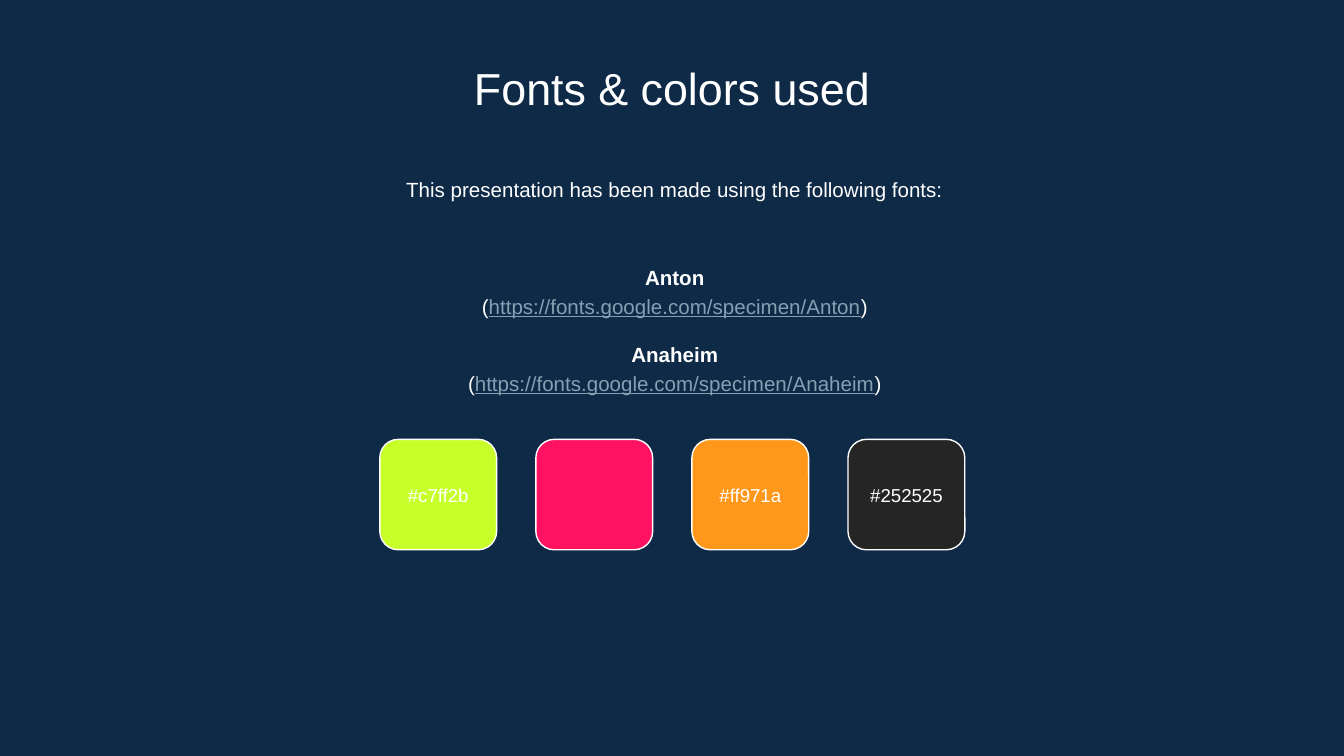
from pptx import Presentation
from pptx.dml.color import RGBColor as RGB
from pptx.enum.shapes import MSO_SHAPE as Shape
from pptx.enum.text import MSO_ANCHOR as Anchor, MSO_AUTO_SIZE as Fit, PP_ALIGN as Align
from pptx.util import Pt

NAVY = RGB(0x0E, 0x2A, 0x47)
WHITE = RGB(0xFF, 0xFF, 0xFF)
STEEL = RGB(0x86, 0x9F, 0xB2)
LIME = RGB(0xC7, 0xFF, 0x2B)
PINK = RGB(0xFF, 0x12, 0x61)
AMBER = RGB(0xFF, 0x97, 0x1A)
COAL = RGB(0x25, 0x25, 0x25)


def frame(shape, anchor, wrap=True):
    body = shape.text_frame
    body.word_wrap = wrap
    body.auto_size = Fit.NONE
    body.vertical_anchor = anchor
    body.margin_left = body.margin_right = Pt(7.2)
    body.margin_top = body.margin_bottom = Pt(7.2)
    return body


def style(para, size, space=1.0):
    para.alignment = Align.CENTER
    para.line_spacing = space
    for run in para.runs:
        run.font.name = "Arial"
        run.font.size = Pt(size)
        run.font.color.rgb = WHITE


deck = Presentation()
deck.slide_width, deck.slide_height = Pt(720), Pt(405)
slide = deck.slides.add_slide(deck.slide_layouts[5])
slide.background.fill.solid()
slide.background.fill.fore_color.rgb = NAVY

title = slide.shapes.title
title.left, title.top, title.width, title.height = Pt(82.5), Pt(25.2), Pt(555), Pt(38)
body = frame(title, Anchor.TOP)
body.text = "Fonts & colors used"
style(body.paragraphs[0], 24)

intro = slide.shapes.add_textbox(Pt(84), Pt(85.7), Pt(555), Pt(34.6))
body = frame(intro, Anchor.TOP)
body.text = "This presentation has been made using the following fonts:"
style(body.paragraphs[0], 11, 1.15)

fonts = slide.shapes.add_textbox(Pt(84), Pt(126.7), Pt(555), Pt(98.6))
body = frame(fonts, Anchor.MIDDLE)
for i, name in enumerate(["Anton", "Anaheim"]):
    head = body.add_paragraph() if i else body.paragraphs[0]
    head.text = name
    style(head, 11, 1.15)
    head.runs[0].font.bold = True
    if i:
        head.space_before = Pt(11)
    para = body.add_paragraph()
    for part in ["(", f"https://fonts.google.com/specimen/{name}", ")"]:
        para.add_run().text = part
    style(para, 11, 1.15)
    link = para.runs[1].font
    link.color.rgb = STEEL
    link.underline = True

swatches = [(LIME, "#c7ff2b"), (PINK, ""), (AMBER, "#ff971a"), (COAL, "#252525")]
for i, (color, label) in enumerate(swatches):
    tile = slide.shapes.add_shape(
        Shape.ROUNDED_RECTANGLE, Pt(203.5 + 83.6 * i), Pt(235.4), Pt(62.6), Pt(59.2))
    tile.shadow.inherit = False
    tile.fill.solid()
    tile.fill.fore_color.rgb = color
    tile.line.color.rgb = WHITE
    tile.line.width = Pt(0.75)
    if label:
        body = frame(tile, Anchor.MIDDLE, False)
        body.text = label
        style(body.paragraphs[0], 10)

deck.save("out.pptx")
